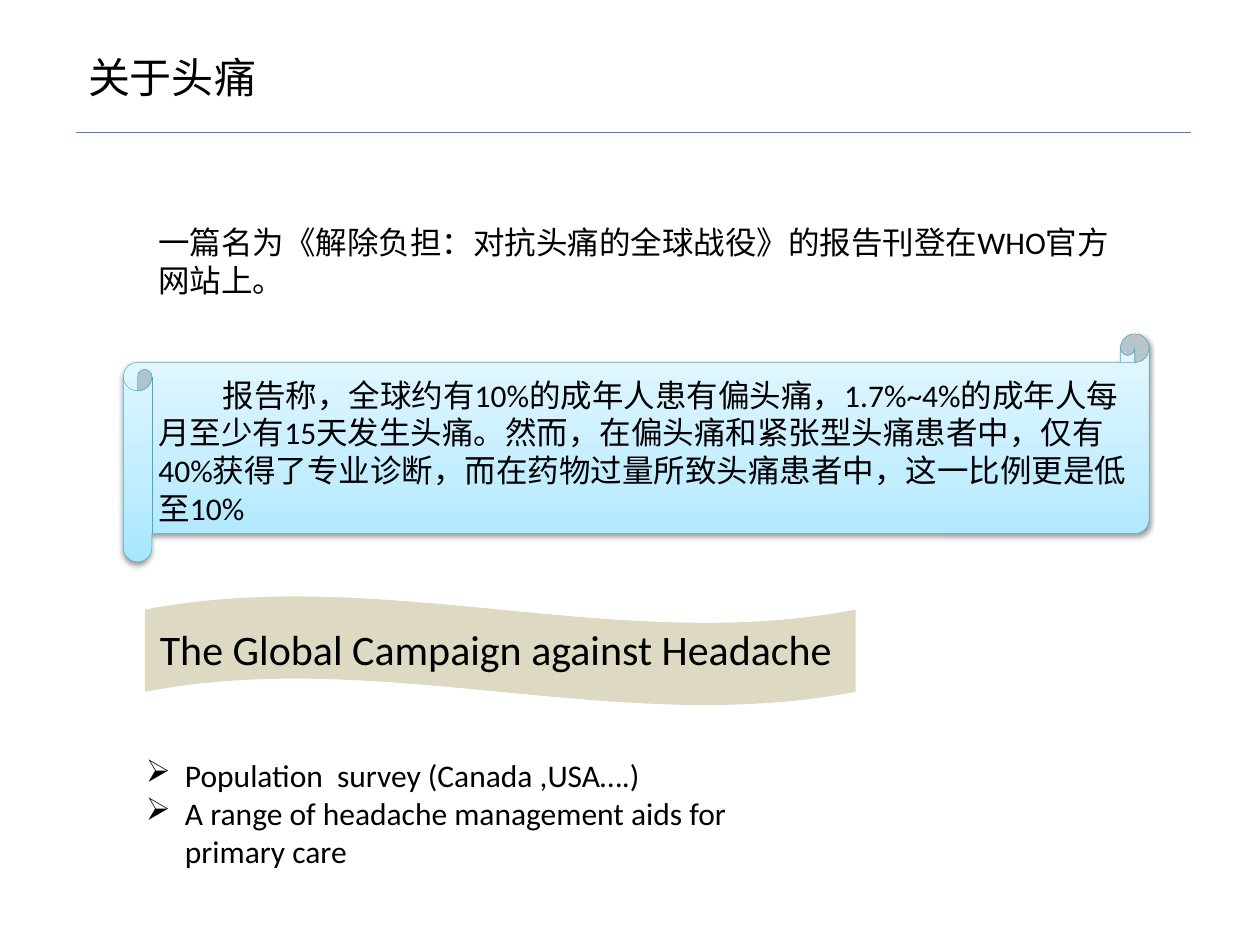
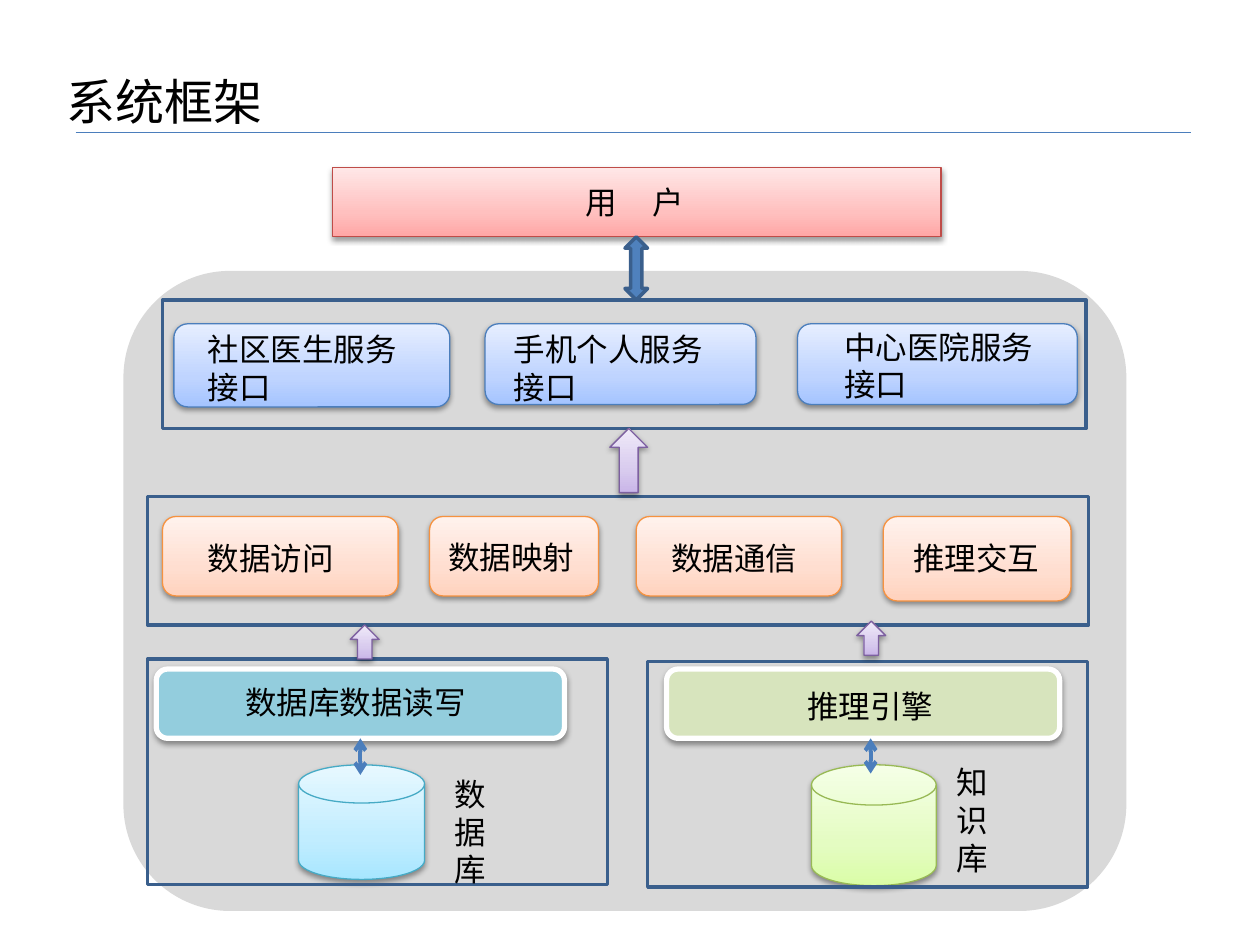
from copy import deepcopy

from lxml.etree import SubElement
from pptx import Presentation
from pptx.dml.color import RGBColor
from pptx.enum.shapes import MSO_CONNECTOR as Link, MSO_SHAPE as Form
from pptx.oxml.ns import qn
from pptx.util import Pt

PX = 9144  # 100 px to the inch

BLACK = RGBColor(0x00, 0x00, 0x00)
WHITE = RGBColor(0xFF, 0xFF, 0xFF)
GREY = RGBColor(0xD9, 0xD9, 0xD9)
SAND = RGBColor(0xDD, 0xD9, 0xC3)
TEAL = RGBColor(0x93, 0xCD, 0xDD)
LEAF = RGBColor(0xD7, 0xE4, 0xBD)
STEEL = RGBColor(0x4F, 0x81, 0xBD)
NAVY = RGBColor(0x3A, 0x5F, 0x8C)
BLUE = RGBColor(0x4B, 0x7E, 0xBC)
CYAN = RGBColor(0x46, 0xAA, 0xC5)
GREEN = RGBColor(0x98, 0xB9, 0x55)
AMBER = RGBColor(0xF6, 0x92, 0x40)
PLUM = RGBColor(0x7D, 0x60, 0xA0)
RED = RGBColor(0xBF, 0x4C, 0x48)

# Gradients run from the bottom up.
AQUA_FADE = (RGBColor(0xA7, 0xE6, 0xFF), RGBColor(0xC1, 0xED, 0xFF), RGBColor(0xE7, 0xF8, 0xFF))
LIME_FADE = (RGBColor(0xDA, 0xFD, 0xA7), RGBColor(0xE4, 0xFC, 0xC2), RGBColor(0xF5, 0xFF, 0xE7))
BLUE_FADE = (RGBColor(0xA4, 0xC4, 0xFF), RGBColor(0xBF, 0xD4, 0xFF), RGBColor(0xE6, 0xEE, 0xFF))
PEACH_FADE = (RGBColor(0xFF, 0xD2, 0xBD), RGBColor(0xFF, 0xDE, 0xD0), RGBColor(0xFF, 0xF2, 0xED))
PLUM_FADE = (RGBColor(0xC9, 0xB5, 0xE8), RGBColor(0xD8, 0xCB, 0xEE), RGBColor(0xF0, 0xEA, 0xF9))
ROSE_FADE = (RGBColor(0xFF, 0xA6, 0xA5), RGBColor(0xFF, 0xC0, 0xBF), RGBColor(0xFF, 0xE7, 0xE7))
STOPS = (0, 0.35, 1)

FONT = "Calibri"


def emu(box):
    return [round(n * PX) for n in box]


def inside(frame, box):
    """Turn a box relative to the frame into one on the slide."""
    return (frame[0] + box[0], frame[1] + box[1], box[2], box[3])


def fade(shape, tints):
    fill = shape.fill
    fill.gradient()
    fill.gradient_angle = 90
    stops = shape._element.spPr.find(".//" + qn("a:gsLst"))
    stops.insert(1, deepcopy(stops[0]))
    for stop, tint, place in zip(fill.gradient_stops, tints, STOPS):
        stop.color.rgb = tint
        stop.position = place


def shade(shape):
    """Add a soft shadow that falls downwards."""
    glow = SubElement(shape._element.spPr.find(qn("a:effectLst")), qn("a:outerShdw"),
                      blurRad="40000", dist="20000", dir="5400000", rotWithShape="0")
    tint = SubElement(glow, qn("a:srgbClr"), val="000000")
    SubElement(tint, qn("a:alpha"), val="38000")


def draw(slide, form, box, fill=None, line=None, width=0.75, shadow=False):
    """Add a shape; fill is a colour, a gradient of three colours or None."""
    shape = slide.shapes.add_shape(form, *emu(box))
    shape.shadow.inherit = False
    if fill is None:
        shape.fill.background()
    elif isinstance(fill, RGBColor):
        shape.fill.solid()
        shape.fill.fore_color.rgb = fill
    else:
        fade(shape, fill)
    if line is None:
        shape.line.fill.background()
    else:
        shape.line.color.rgb = line
        shape.line.width = Pt(width)
    if shadow:
        shade(shape)
    return shape


def write(slide, box, text, size=18):
    frame = slide.shapes.add_textbox(*emu(box)).text_frame
    frame.word_wrap = True
    frame.text = text
    for para in frame.paragraphs:
        for run in para.runs:
            run.font.size = Pt(size)
            run.font.name = FONT
            run.font.color.rgb = BLACK
    return frame


def join(slide, start, end, width):
    link = slide.shapes.add_connector(Link.STRAIGHT, *emu(start + end))
    link.line.color.rgb = BLUE
    link.line.width = Pt(width)
    SubElement(link._element.spPr, qn("a:effectLst"))
    return link


def indent(para, first, left=0):
    props = para._p.get_or_add_pPr()
    props.set("marL", str(left * PX))
    props.set("indent", str(first * PX))
    return props


def head(slide, box, text, size):
    write(slide, box, text, size)
    join(slide, (60, 105), (945, 105), 0.75)


def report(slide, box):
    draw(slide, Form.HORIZONTAL_SCROLL, inside(box, (0, 93, 814, 181)),
         AQUA_FADE, CYAN, 0.25, True)
    frame = write(slide, inside(box, (18, 0, 796, 252)),
                  "一篇名为《解除负担：对抗头痛的全球战役》的报告刊登在WHO官方网站上。\n"
                  "报告称，全球约有10%的成年人患有偏头痛，1.7%~4%的成年人每月至少有15天发生头痛。"
                  "然而，在偏头痛和紧张型头痛患者中，仅有40%获得了专业诊断，"
                  "而在药物过量所致头痛患者中，这一比例更是低至10%")
    body = frame.paragraphs[1]
    body.space_before = Pt(44)
    indent(body, 51)


def campaign(slide, box):
    draw(slide, Form.WAVE, inside(box, (9, 0, 564, 87)), SAND)
    write(slide, inside(box, (11, 17, 570, 50)), "The Global Campaign against Headache", 24)
    frame = write(slide, inside(box, (0, 122, 559, 101)),
                  "Population  survey (Canada ,USA….)\n"
                  "A range of headache management aids for primary care")
    for para in frame.paragraphs:
        SubElement(indent(para, -31, 31), qn("a:buChar"), char="➢")


def user(slide, box):
    draw(slide, Form.RECTANGLE, box, ROSE_FADE, RED, shadow=True)
    frame = write(slide, inside(box, (191, 7, 101, 40)), "用 户")
    run = frame.paragraphs[0].runs[0]
    run.font._element.set("spc", "800")
    draw(slide, Form.UP_DOWN_ARROW, inside(box, (232, 55, 18, 50)), STEEL, NAVY, 2)


def tier(slide, box, fill, line, cards):
    """Frame a row of cards, each a card box, a label box and a label."""
    draw(slide, Form.RECTANGLE, box, None, NAVY, 2)
    for card, spot, text in cards:
        draw(slide, Form.ROUNDED_RECTANGLE, inside(box, card), fill, line, shadow=True)
        write(slide, inside(box, spot), text)


def store(slide, box, fill, tints, edge, bar, label, disk, name, link):
    """Frame an engine bar above its disk; link is x, top and bottom."""
    draw(slide, Form.FLOWCHART_MAGNETIC_DISK, inside(box, disk), tints, edge, shadow=True)
    plate = draw(slide, Form.ROUNDED_RECTANGLE, inside(box, bar), fill, WHITE, 3, True)
    draw(slide, Form.RECTANGLE, box, None, NAVY, 2)
    for spot, text in (label, name):
        write(slide, inside(box, spot), text)
    x, top, low = link
    arrow = join(slide, (box[0] + x, box[1] + top), (box[0] + x, box[1] + low), 2.25)
    if x == bar[0] + bar[2] // 2:
        arrow.begin_connect(plate, 2)
    for end in ("a:headEnd", "a:tailEnd"):
        SubElement(arrow.line._ln, qn(end), type="arrow")


def about(slide):
    report(slide, (98, 172, 814, 274))
    head(slide, (60, 36, 212, 50), "关于头痛", 24)
    campaign(slide, (106, 473, 581, 223))


def system(slide):
    draw(slide, Form.ROUNDED_RECTANGLE, (98, 215, 796, 508), GREY)
    tier(slide, (129, 238, 733, 102), BLUE_FADE, BLUE, (
        ((9, 19, 219, 66), (26, 19, 188, 71), "社区医生服务接口"),
        ((256, 19, 215, 64), (269, 19, 188, 71), "手机个人服务接口"),
        ((504, 19, 222, 64), (531, 17, 188, 71), "中心医院服务接口")))
    tier(slide, (117, 394, 747, 102), PEACH_FADE, AMBER, (
        ((12, 16, 187, 63), (38, 29, 145, 40), "数据访问"),
        ((224, 16, 134, 63), (229, 28, 131, 40), "数据映射"),
        ((388, 16, 163, 63), (406, 29, 121, 40), "数据通信"),
        ((584, 16, 149, 67), (598, 29, 126, 40), "推理交互")))
    store(slide, (117, 523, 365, 179), TEAL, AQUA_FADE, CYAN,
          bar=(7, 8, 324, 55), label=((68, 14, 214, 71), "数据库数据读写"),
          disk=(120, 84, 100, 91), name=((234, 87, 52, 101), "数据库"),
          link=(169, 63, 92))
    store(slide, (514, 525, 349, 179), LEAF, LIME_FADE, GREEN,
          bar=(15, 6, 312, 55), label=((117, 15, 153, 40), "推理引擎"),
          disk=(130, 82, 99, 96), name=((235, 76, 52, 101), "知识库"),
          link=(177, 61, 89))
    for box in ((484, 340, 30, 51), (278, 496, 23, 27), (680, 493, 23, 27)):
        draw(slide, Form.UP_ARROW, box, PLUM_FADE, PLUM, shadow=True)
    user(slide, (264, 133, 483, 55))
    head(slide, (43, 52, 277, 57), "系统框架", 28)


def main():
    deck = Presentation()
    deck.slide_width, deck.slide_height = emu((1000, 750))
    for build in (about, system):
        build(deck.slides.add_slide(deck.slide_layouts[6]))
    deck.save("out.pptx")


if __name__ == "__main__":
    main()
